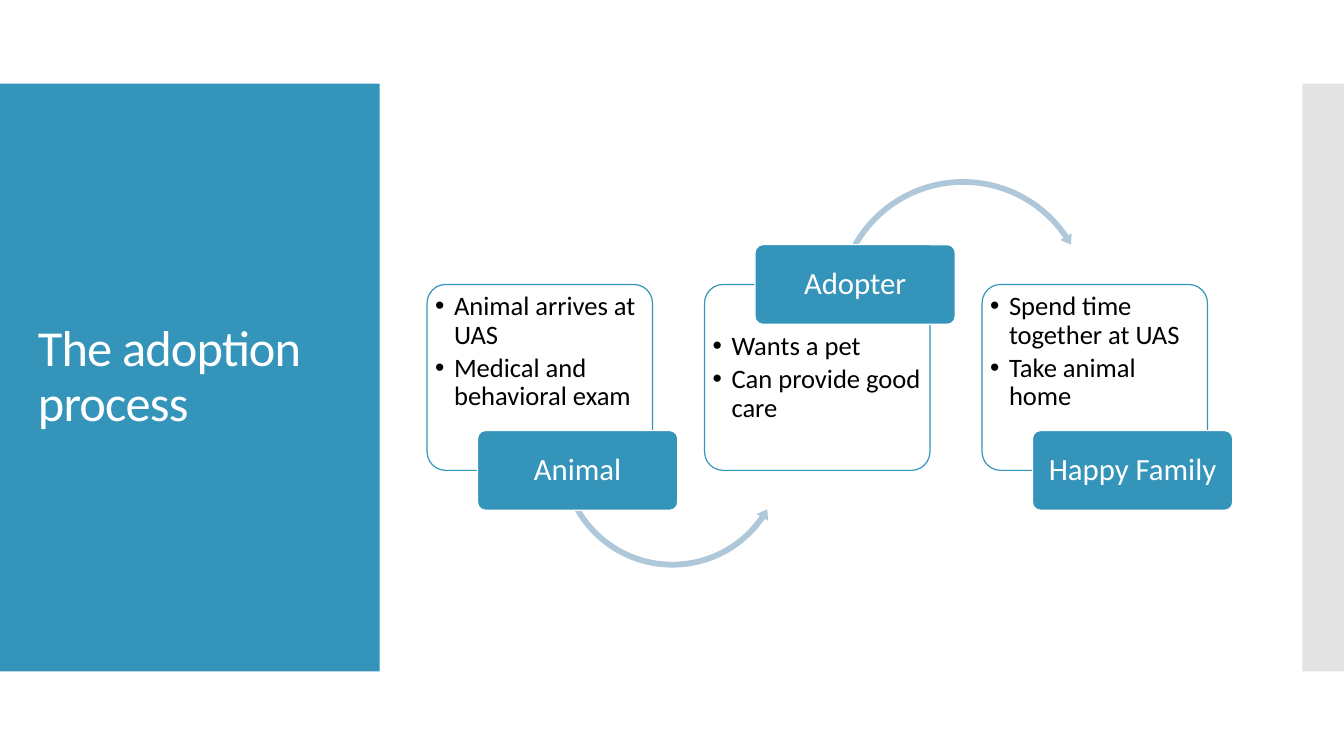
from lxml import etree
from pptx import Presentation
from pptx.dml.color import RGBColor
from pptx.enum import shapes, text
from pptx.oxml import ns
from pptx.util import Pt

TITLE = "The adoption process"
STEPS = [
    ("Animal", ["Animal arrives at UAS", "Medical and behavioral exam"], "below"),
    ("Adopter", ["Wants a pet", "Can provide good care"], "above"),
    ("Happy Family", ["Spend time together at UAS", "Take animal home"], "below"),
]
BLUE, WHITE, BLACK, GREY, ARROW = "3494BA", "FFFFFF", "000000", "C8C8C8", "AEC8D9"
KIND = shapes.MSO_SHAPE
ARROWS = [
    (KIND.LEFT_CIRCULAR_ARROW, (397.5, 242.6, 165.6),
     (0.025, 2.967, 20.723, 90.245, 0.029)),
    (KIND.CIRCULAR_ARROW, (594.7, 125.3, 186.5),
     (0.022, 2.623, 195.621, 125.755, 0.025)),
]

FIRST_LEFT, STEP_PITCH = 305.1, 198.2
CARD_TOP, CARD_WIDTH, CARD_HEIGHT = 203.2, 161, 132.8
LABEL_SHIFT, LABEL_WIDTH, LABEL_HEIGHT = 36, 143, 56.9
PANEL_TOP, PANEL_HEIGHT = 59.8, 419.8
SLIDE_WIDTH, SLIDE_HEIGHT = 960, 540

presentation = Presentation()
presentation.slide_width, presentation.slide_height = Pt(SLIDE_WIDTH), Pt(SLIDE_HEIGHT)
slide = presentation.slides.add_slide(presentation.slide_layouts[6])


def paint(color_format, color, opacity=100):
    color_format.rgb = RGBColor.from_string(color)
    if opacity < 100:
        node = color_format._xFill.find(ns.qn("a:srgbClr"))
        etree.SubElement(node, ns.qn("a:alpha"), val=str(opacity * 1000))


def add_shape(kind, left, top, width, height, fill, opacity=100, line=None):
    shape = slide.shapes.add_shape(kind, Pt(left), Pt(top), Pt(width), Pt(height))
    shape.shadow.inherit = False
    shape.fill.solid()
    paint(shape.fill.fore_color, fill, opacity)
    if line:
        shape.line.fill.solid()
        paint(shape.line.fill.fore_color, line)
        shape.line.width = Pt(0.85)
    else:
        shape.line.fill.background()
    return shape


def write(shape, lines, size, color, margins, anchor, align, after=0, bullet=False):
    frame = shape.text_frame
    frame.word_wrap = True
    frame.vertical_anchor = anchor
    (frame.margin_left, frame.margin_top,
     frame.margin_right, frame.margin_bottom) = map(Pt, margins)
    for index, line in enumerate(lines):
        paragraph = frame.paragraphs[0] if index == 0 else frame.add_paragraph()
        paragraph.text = line
        paragraph.alignment = align
        paragraph.line_spacing = 0.9
        paragraph.space_after = Pt(after)
        if bullet:
            properties = paragraph._p.get_or_add_pPr()
            properties.set("marL", str(Pt(13.5)))
            properties.set("indent", str(-Pt(13.5)))
            etree.SubElement(properties, ns.qn("a:buFont"), typeface="Arial")
            etree.SubElement(properties, ns.qn("a:buChar"), char="•")
        paragraph.font.name = "Calibri"
        paragraph.font.size = Pt(size)
        paint(paragraph.font.color, color)


TOP, MIDDLE = text.MSO_ANCHOR.TOP, text.MSO_ANCHOR.MIDDLE
LEFT, CENTER = text.PP_ALIGN.LEFT, text.PP_ALIGN.CENTER

add_shape(KIND.RECTANGLE, 0, PANEL_TOP, 271.2, PANEL_HEIGHT, BLUE)
add_shape(KIND.RECTANGLE, 930.3, PANEL_TOP, SLIDE_WIDTH - 930.3, PANEL_HEIGHT, GREY, 50)

title = slide.shapes.add_textbox(Pt(20), Pt(88.6), Pt(232), Pt(362))
write(title, [TITLE], 36, WHITE, (7.2, 3.6, 7.2, 3.6), MIDDLE, LEFT)
title.text_frame.paragraphs[0].runs[0]._r.get_or_add_rPr().set("spc", "-60")

for index, (name, points, side) in enumerate(STEPS):
    left = FIRST_LEFT + index * STEP_PITCH
    above = side == "above"

    card = add_shape(KIND.ROUNDED_RECTANGLE, left, CARD_TOP,
                     CARD_WIDTH, CARD_HEIGHT, WHITE, 90, BLUE)
    card.adjustments[0] = 0.1
    margins = (1.9, 30.7, 1.9, 1.9) if above else (1.9, 1.9, 1.9, 30.7)
    write(card, points, 19, BLACK, margins, TOP, LEFT, 3, True)

    if index < len(ARROWS):
        kind, (arrow_left, arrow_top, size), adjustments = ARROWS[index]
        arrow = add_shape(kind, arrow_left, arrow_top, size, size, ARROW)
        for position, value in enumerate(adjustments):
            arrow.adjustments[position] = value

    edge = CARD_TOP if above else CARD_TOP + CARD_HEIGHT
    label = add_shape(KIND.ROUNDED_RECTANGLE, left + LABEL_SHIFT, edge - LABEL_HEIGHT / 2,
                      LABEL_WIDTH, LABEL_HEIGHT, BLUE, line=WHITE)
    label.adjustments[0] = 0.1
    write(label, [name], 22, WHITE, (3.4, 1.9, 3.4, 1.9), MIDDLE, CENTER)

presentation.save("out.pptx")
